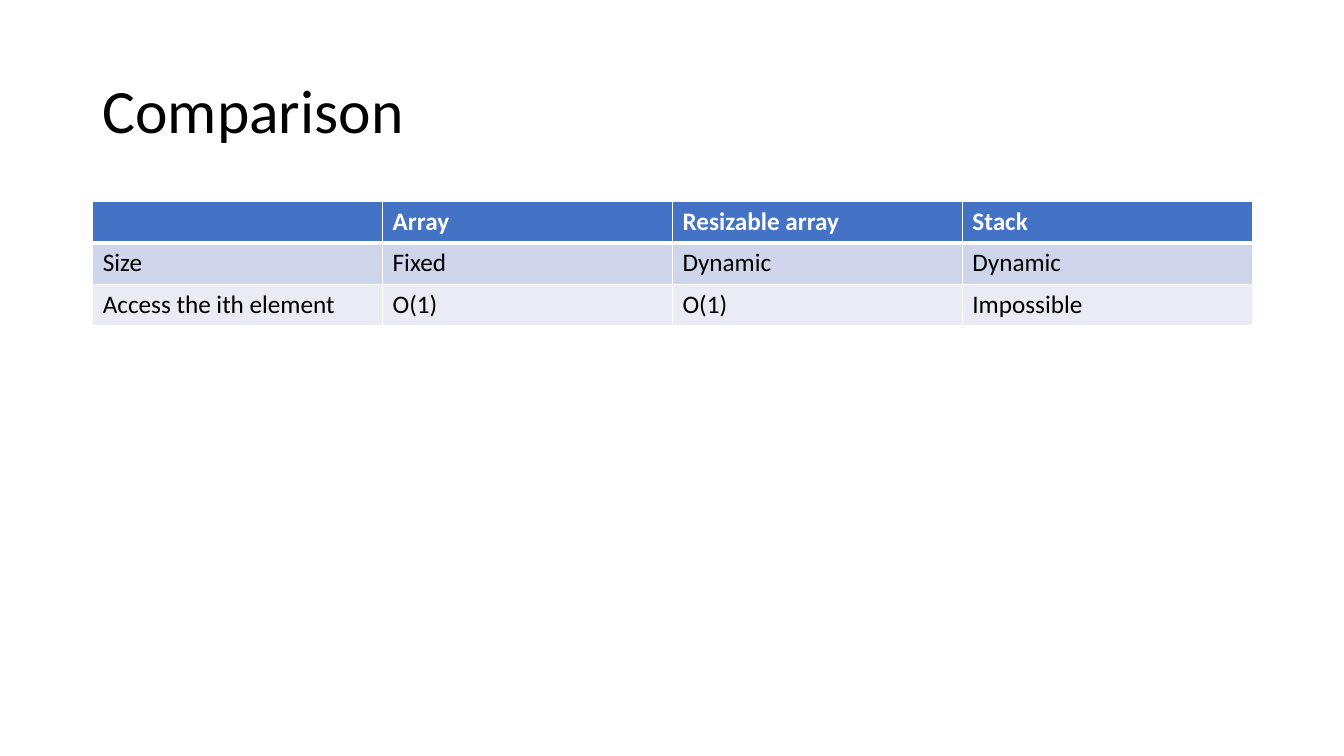
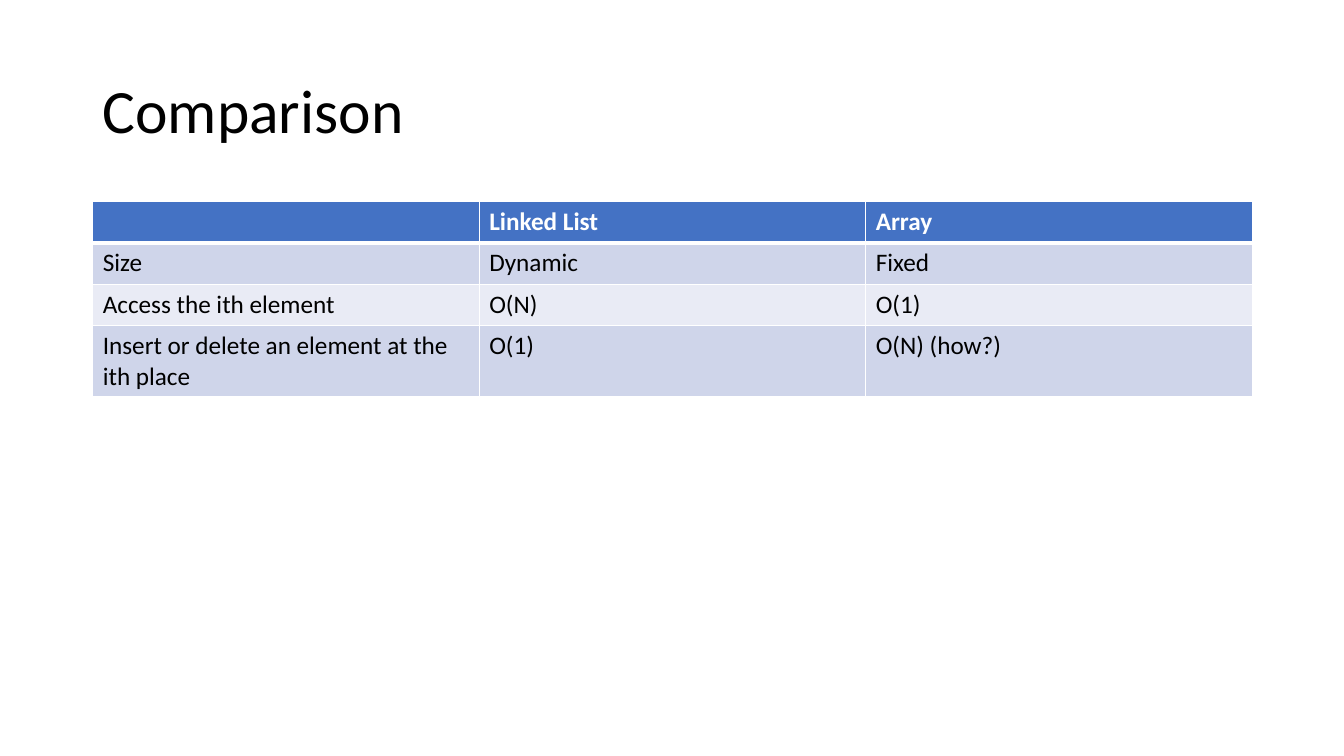
import pptx
import pptx.util
import pptx.dml.color
import pptx.enum.text
import pptx.oxml.xmlchemy
import lxml.etree
from pptx.util import Inches

COLORS = {
    "text": "000000",
    "header": "4472C4",
    "header_text": "FFFFFF",
    "band_dark": "CFD5EA",
    "band_light": "E9EBF5",
    "border": "FFFFFF",
}
FONT = "Calibri"
LEFT, WIDTH = 0.92, 11.5
TABLE_TOP, ROW_HEIGHT = 2, 0.41
THIN, THICK = 1, 3

ARRAY_STACK = [
    ["", "Array", "Resizable array", "Stack"],
    ["Size", "Fixed", "Dynamic", "Dynamic"],
    ["Access the ith element", "O(1)", "O(1)", "Impossible"],
]
LIST_ARRAY = [
    ["", "Linked List", "Array"],
    ["Size", "Dynamic", "Fixed"],
    ["Access the ith element", "O(N)", "O(1)"],
    ["Insert or delete an element at the ith place", "O(1)", "O(N) (how?)"],
]


def rgb(name):
    return pptx.dml.color.RGBColor.from_string(COLORS[name])


def add_run(p, text, size, color, bold=False):
    r = p.add_run()
    r.text = text
    r.font.name = FONT
    r.font.size = pptx.util.Pt(size)
    r.font.bold = bold
    r.font.color.rgb = rgb(color)


def add_title(s, text):
    sp = s.shapes.add_textbox(Inches(LEFT), Inches(0.4), Inches(WIDTH), Inches(1.45))
    tf = sp.text_frame
    tf.word_wrap = True
    tf.vertical_anchor = pptx.enum.text.MSO_ANCHOR.MIDDLE
    p = tf.paragraphs[0]
    p.line_spacing = 0.9
    add_run(p, text, 44, "text")


def set_borders(cell, top, bottom):
    ns = "{http://schemas.openxmlformats.org/drawingml/2006/main}"
    tc_pr = cell._tc.get_or_add_tcPr()
    for side, width in (("L", THIN), ("R", THIN), ("T", top), ("B", bottom)):
        ln = lxml.etree.SubElement(tc_pr, f"{ns}ln{side}", w=str(pptx.util.Pt(width)))
        fill = lxml.etree.SubElement(ln, f"{ns}solidFill")
        lxml.etree.SubElement(fill, f"{ns}srgbClr", val=COLORS["border"])


def fill_cell(cell, text, row):
    header = row == 0
    set_borders(cell, THICK if row == 1 else THIN, THICK if header else THIN)
    band = "band_dark" if row % 2 else "band_light"
    cell.fill.solid()
    cell.fill.fore_color.rgb = rgb("header" if header else band)
    p = cell.text_frame.paragraphs[0]
    if text:
        add_run(p, text, 18, "header_text" if header else "text", header)


def add_comparison_table(s, rows):
    columns = len(rows[0])
    frame = s.shapes.add_table(
        len(rows), columns, Inches(LEFT), Inches(TABLE_TOP),
        Inches(WIDTH), Inches(ROW_HEIGHT * len(rows)))
    table = frame.table
    for column in table.columns:
        column.width = Inches(WIDTH / columns)
    for i, values in enumerate(rows):
        table.rows[i].height = Inches(ROW_HEIGHT)
        for j, text in enumerate(values):
            fill_cell(table.cell(i, j), text, i)


def main():
    prs = pptx.Presentation()
    prs.slide_width = Inches(13.33)
    prs.slide_height = Inches(7.5)
    for rows in (ARRAY_STACK, LIST_ARRAY):
        s = prs.slides.add_slide(prs.slide_layouts[6])
        add_title(s, "Comparison")
        add_comparison_table(s, rows)
    prs.save("out.pptx")


main()
